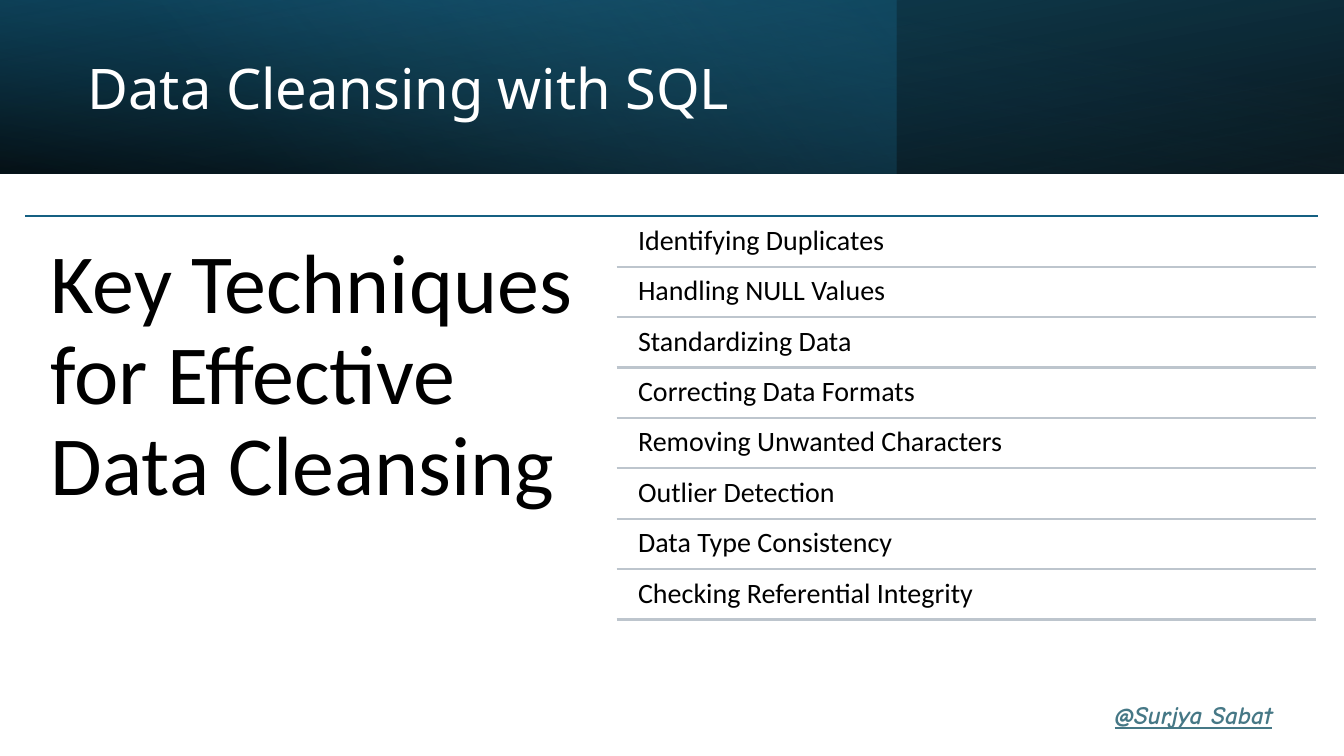
import pptx
import pptx.dml.color
import pptx.enum.shapes
import pptx.enum.text
import pptx.oxml.ns
import pptx.util
from lxml import etree

Cm = pptx.util.Cm
Pt = pptx.util.Pt
RGB = pptx.dml.color.RGBColor.from_string
qn = pptx.oxml.ns.qn

COLORS = {
    "black": "000000",
    "white": "FFFFFF",
    "navy": "104862",
    "teal": "156082",
    "sky": "46B1E1",
    "rule": "BDC5CD",
    "handle": "467886",
}

TECHNIQUES = [
    "Identifying Duplicates",
    "Handling NULL Values",
    "Standardizing Data",
    "Correcting Data Formats",
    "Removing Unwanted Characters",
    "Outlier Detection",
    "Data Type Consistency",
    "Checking Referential Integrity",
]

deck = pptx.Presentation()
deck.slide_width = Cm(33.87)
deck.slide_height = Cm(19.05)
slide = deck.slides.add_slide(deck.slide_layouts[6])


def add_text(text, left, top, width, height, size, font="Calibri", color="black",
             inset=(0.25, 0.13), anchor="TOP", line_spacing=0.9, emphasis=False):
    """Add a one-paragraph text box; inset is (horizontal, vertical) in cm."""
    box = slide.shapes.add_textbox(Cm(left), Cm(top), Cm(width), Cm(height))
    frame = box.text_frame
    frame.word_wrap = True
    frame.vertical_anchor = pptx.enum.text.MSO_ANCHOR[anchor]
    frame.margin_left = frame.margin_right = Cm(inset[0])
    frame.margin_top = frame.margin_bottom = Cm(inset[1])
    paragraph = frame.paragraphs[0]
    paragraph.line_spacing = line_spacing
    run = paragraph.add_run()
    run.text = text
    run.font.name = font
    run.font.size = Pt(size)
    run.font.color.rgb = RGB(COLORS[color])
    run.font.bold = run.font.italic = run.font.underline = emphasis


def add_rule(left, right, y, color):
    rule = slide.shapes.add_connector(
        pptx.enum.shapes.MSO_CONNECTOR.STRAIGHT, Cm(left), Cm(y), Cm(right), Cm(y))
    rule.line.color.rgb = RGB(COLORS[color])
    rule.line.width = Pt(1.5)
    etree.SubElement(rule._element.spPr, qn("a:effectLst"))


# Header: three stacked gradients; each stop is (position %, color, opacity %)
header_layers = [
    (33.87, 180, True, 100, [(0, "black", 96), (100, "navy", 100)]),
    (22.58, 0, False, 140, [(0, "teal", 41), (74, "sky", 0)]),
    (33.87, 0, True, 260, [(0, "black", 63), (78, "teal", 15)]),
]
for width, rotation, flipped, angle, stops in header_layers:
    layer = slide.shapes.add_shape(
        pptx.enum.shapes.MSO_SHAPE.RECTANGLE, 0, 0, Cm(width), Cm(4.37))
    layer.shadow.inherit = False
    layer.line.fill.background()
    layer.rotation = rotation
    if flipped:
        layer._element.spPr.xfrm.set("flipH", "1")
    layer.fill.gradient()
    layer.fill.gradient_angle = 360 - angle  # python-pptx counts counter-clockwise
    for gradient_stop, (position, color, _) in zip(layer.fill.gradient_stops, stops):
        gradient_stop.position = position / 100
        gradient_stop.color.rgb = RGB(COLORS[color])
    stop_colors = layer._element.spPr.findall(".//" + qn("a:srgbClr"))
    for stop_color, (_, _, opacity) in zip(stop_colors, stops):
        etree.SubElement(stop_color, qn("a:alpha"), val=str(opacity * 1000))

add_text("Data Cleansing with SQL", 1.96, 0.69, 23.32, 3.23, 40,
         font="Noto Sans", color="white", anchor="MIDDLE")

# Heading on the left, list of techniques on the right
add_rule(0.64, 33.22, 5.44, "teal")
add_text("Key Techniques for Effective Data Cleansing", 0.64, 5.44, 14.91, 10.24, 60,
         inset=(0.64, 0.64))

ROW_PITCH = 1.27
for row, technique in enumerate(TECHNIQUES):
    row_top = 5.5 + row * ROW_PITCH
    add_text(technique, 15.88, row_top, 17.32, 1.22, 20, inset=(0.2, 0.2))
    add_rule(15.54, 33.17, row_top + 1.22, "rule")

add_text("@Surjya Sabat", 27.84, 17.5, 4.52, 1.04, 18, font="Comic Neue",
         color="handle", line_spacing=1.0, emphasis=True)

deck.save("out.pptx")
